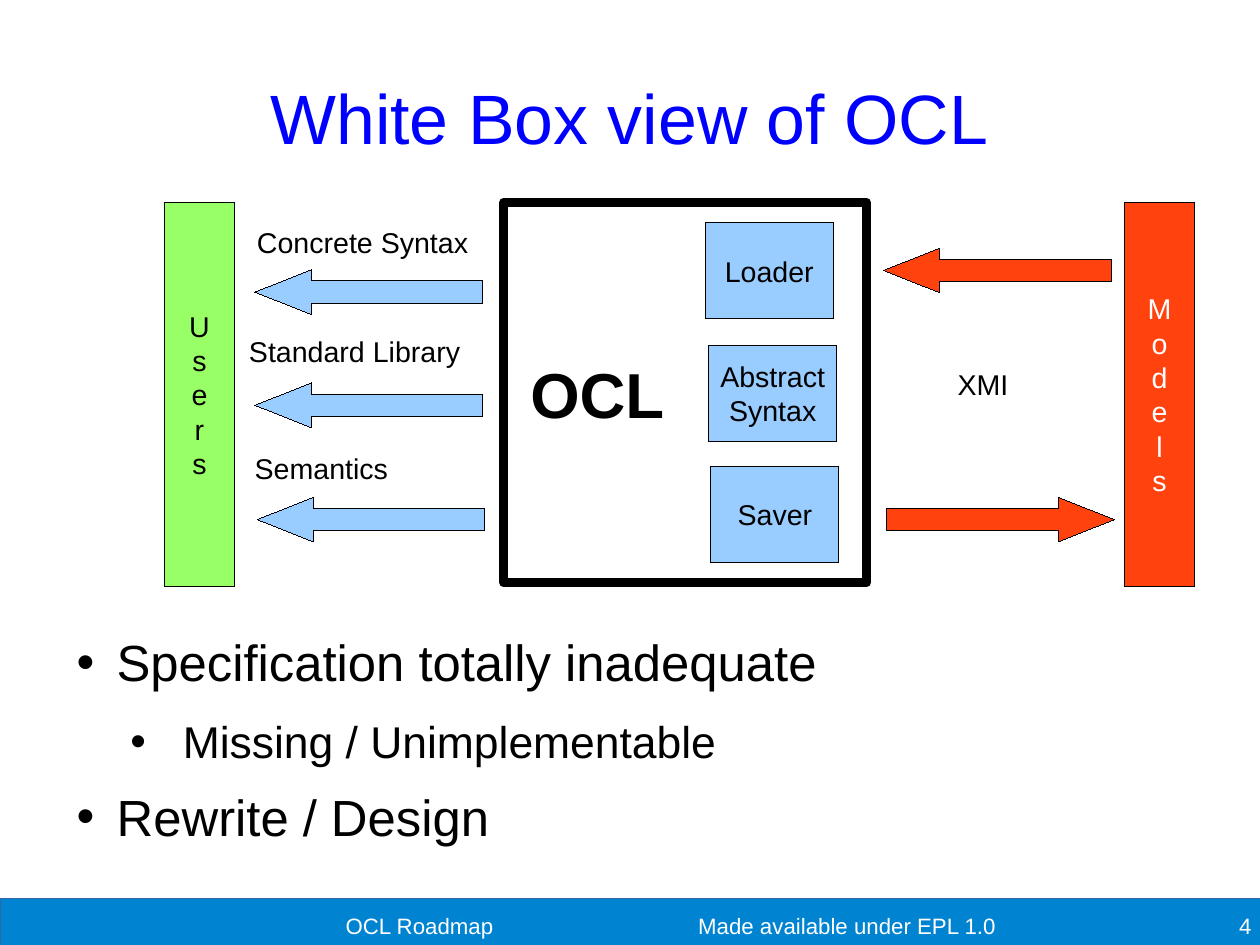
from dataclasses import dataclass

from lxml.etree import SubElement
from pptx import Presentation
from pptx.dml.color import RGBColor
from pptx.enum.shapes import MSO_SHAPE
from pptx.enum.text import MSO_ANCHOR, PP_ALIGN
from pptx.oxml.ns import qn
from pptx.util import Inches, Pt

BLACK, WHITE = "000000", "FFFFFF"
SKY, RED, GREEN = "99CCFF", "FF420E", "99FF66"
LEFT, MID, RIGHT = PP_ALIGN.LEFT, PP_ALIGN.CENTER, PP_ALIGN.RIGHT


@dataclass
class Block:
    lines: list[str]
    x: float
    y: float
    w: float
    h: float
    fill: str
    ink: str = BLACK


@dataclass
class Arrow:
    x: float
    y: float
    fill: str
    kind: MSO_SHAPE = MSO_SHAPE.LEFT_ARROW


@dataclass
class Label:
    text: str
    x: float
    y: float
    w: float = 2.25
    h: float = 0.38
    size: float = 18
    ink: str = BLACK
    align: PP_ALIGN = LEFT
    pad: tuple[float, float] = (0.1, 0.05)
    anchor: MSO_ANCHOR = MSO_ANCHOR.TOP


@dataclass
class Point:
    text: str
    size: float
    after: float
    margin: float
    hang: float
    level: int = 0


def color(code: str) -> RGBColor:
    return RGBColor.from_string(code)


def style(para, size: float, ink: str, align: PP_ALIGN = LEFT) -> None:
    para.alignment = align
    para.font.name = "Arial"
    para.font.size = Pt(size)
    para.font.color.rgb = color(ink)


def inset(frame, side: float, edge: float) -> None:
    frame.word_wrap = True
    frame.margin_left = frame.margin_right = Inches(side)
    frame.margin_top = frame.margin_bottom = Inches(edge)


def add_form(slide, kind: MSO_SHAPE, x: float, y: float, w: float, h: float,
             fill: str, line: str = BLACK, width: float = 0):
    form = slide.shapes.add_shape(kind, Inches(x), Inches(y), Inches(w), Inches(h))
    form.shadow.inherit = False
    form.fill.solid()
    form.fill.fore_color.rgb = color(fill)
    form.line.color.rgb = color(line)
    # python-pptx drops a zero width, so a hairline is set on the element
    edge = form._element.spPr.find(qn("a:ln"))
    edge.set("w", str(Pt(width)))
    SubElement(edge, qn("a:round"))
    return form


def add_block(slide, block: Block) -> None:
    form = add_form(slide, MSO_SHAPE.RECTANGLE, block.x, block.y, block.w,
                    block.h, block.fill)
    frame = form.text_frame
    inset(frame, 0.1, 0.05)
    frame.vertical_anchor = MSO_ANCHOR.MIDDLE
    frame.text = "\n".join(block.lines)
    for para in frame.paragraphs:
        style(para, 18, block.ink, MID)


def add_arrow(slide, arrow: Arrow) -> None:
    form = add_form(slide, arrow.kind, arrow.x, arrow.y, 1.99, 0.39, arrow.fill)
    form.adjustments[0] = 0.5
    form.adjustments[1] = 1.26


def add_frame(slide, x: float, y: float, w: float, h: float):
    box = slide.shapes.add_textbox(Inches(x), Inches(y), Inches(w), Inches(h))
    return box.text_frame


def add_label(slide, label: Label) -> None:
    frame = add_frame(slide, label.x, label.y, label.w, label.h)
    inset(frame, *label.pad)
    frame.vertical_anchor = label.anchor
    frame.text = label.text
    style(frame.paragraphs[0], label.size, label.ink, label.align)


def add_points(slide, points: list[Point]) -> None:
    frame = add_frame(slide, 0.55, 5.52, 9.92, 1.86)
    inset(frame, 0, 0)
    frame.text = "\n".join(point.text for point in points)
    for para, point in zip(frame.paragraphs, points):
        style(para, point.size, BLACK)
        para.level = point.level
        para.space_after = Pt(point.after)
        props = para._p.get_or_add_pPr()
        props.set("marL", str(Inches(point.margin)))
        props.set("indent", str(-Inches(point.hang)))
        for tag, name, value in (("a:buFont", "typeface", "Arial"),
                                 ("a:buChar", "char", "•")):
            part = SubElement(props, qn(tag))
            part.set(name, value)
            props.insert_element_before(part, "a:tabLst", "a:defRPr", "a:extLst")


def add_core(slide) -> None:
    """Draw the thick white box that holds the OCL parts."""
    form = add_form(slide, MSO_SHAPE.RECTANGLE, 4.41, 1.77, 3.17, 3.33,
                    WHITE, width=5.67)
    frame = form.text_frame
    inset(frame, 0.23, 0.09)
    frame.vertical_anchor = MSO_ANCHOR.MIDDLE
    frame.text = "OCL"
    para = frame.paragraphs[0]
    style(para, 40, BLACK)
    para.font.bold = True


BLOCKS = [
    Block(list("Users"), 1.44, 1.77, 0.61, 3.36, GREEN),
    Block(list("Models"), 9.84, 1.77, 0.61, 3.36, RED, WHITE),
    Block(["Loader"], 6.17, 1.95, 1.12, 0.84, SKY),
    Block(["Abstract", "Syntax"], 6.2, 3.02, 1.12, 0.84, SKY),
    Block(["Saver"], 6.22, 4.08, 1.12, 0.84, SKY),
]
ARROWS = [
    Arrow(2.23, 2.36, SKY),
    Arrow(2.23, 3.35, SKY),
    Arrow(2.25, 4.35, SKY),
    Arrow(7.73, 2.17, RED),
    Arrow(7.76, 4.35, RED, MSO_SHAPE.RIGHT_ARROW),
]
LABELS = [
    Label("White Box view of OCL", 0.55, 0.33, 9.92, 1.38, 44, "0000FF", MID,
          (0, 0), MSO_ANCHOR.MIDDLE),
    Label("Concrete Syntax", 2.15, 1.92),
    Label("Standard Library", 2.08, 2.87),
    Label("Semantics", 2.13, 3.9),
    Label("XMI", 8.28, 3.16),
    Label("Made available under EPL 1.0", 6.01, 7.93, 2.81, 0.32, 14, WHITE),
    Label("OCL Roadmap", 2.02, 7.98, 3.3, 0.28, 14, WHITE, MID, (0, 0)),
    Label("4", 10.49, 7.98, 0.46, 0.28, 14, WHITE, RIGHT, (0, 0)),
]
POINTS = [
    Point("Specification totally inadequate", 32, 14.2, 0.47, 0.35),
    Point("Missing / Unimplementable", 28, 11.3, 1.05, 0.46, 1),
    Point("Rewrite / Design", 32, 14.2, 0.47, 0.35),
]


def main() -> None:
    deck = Presentation()
    # 28 by 21 centimetres
    deck.slide_width, deck.slide_height = Inches(28 / 2.54), Inches(21 / 2.54)
    slide = deck.slides.add_slide(deck.slide_layouts[6])
    add_form(slide, MSO_SHAPE.RECTANGLE, 0, 7.86, 11.48, 0.41, "0084D1", "3465A4")
    add_core(slide)
    for block in BLOCKS:
        add_block(slide, block)
    for arrow in ARROWS:
        add_arrow(slide, arrow)
    for label in LABELS:
        add_label(slide, label)
    add_points(slide, POINTS)
    deck.save("out.pptx")


if __name__ == "__main__":
    main()
